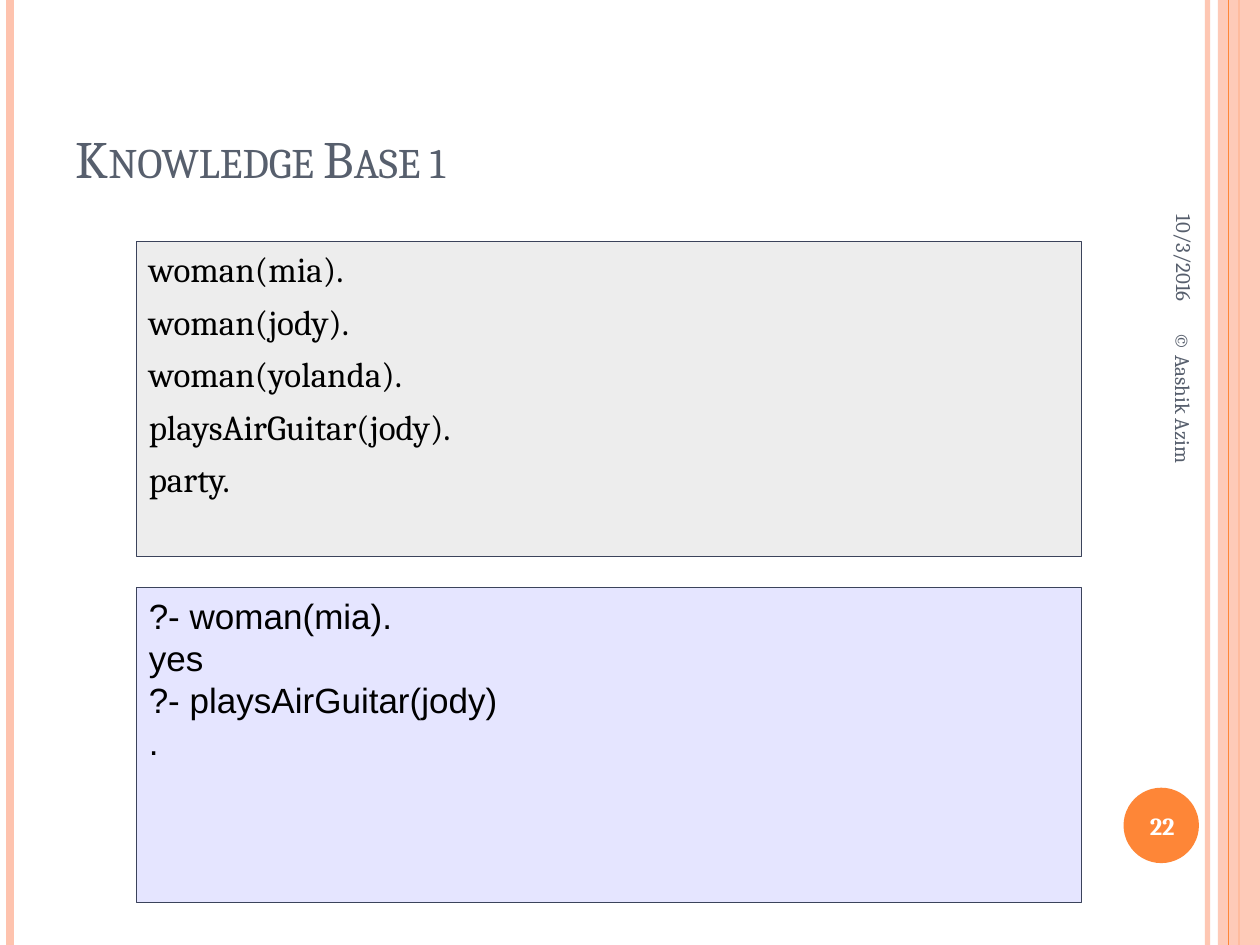
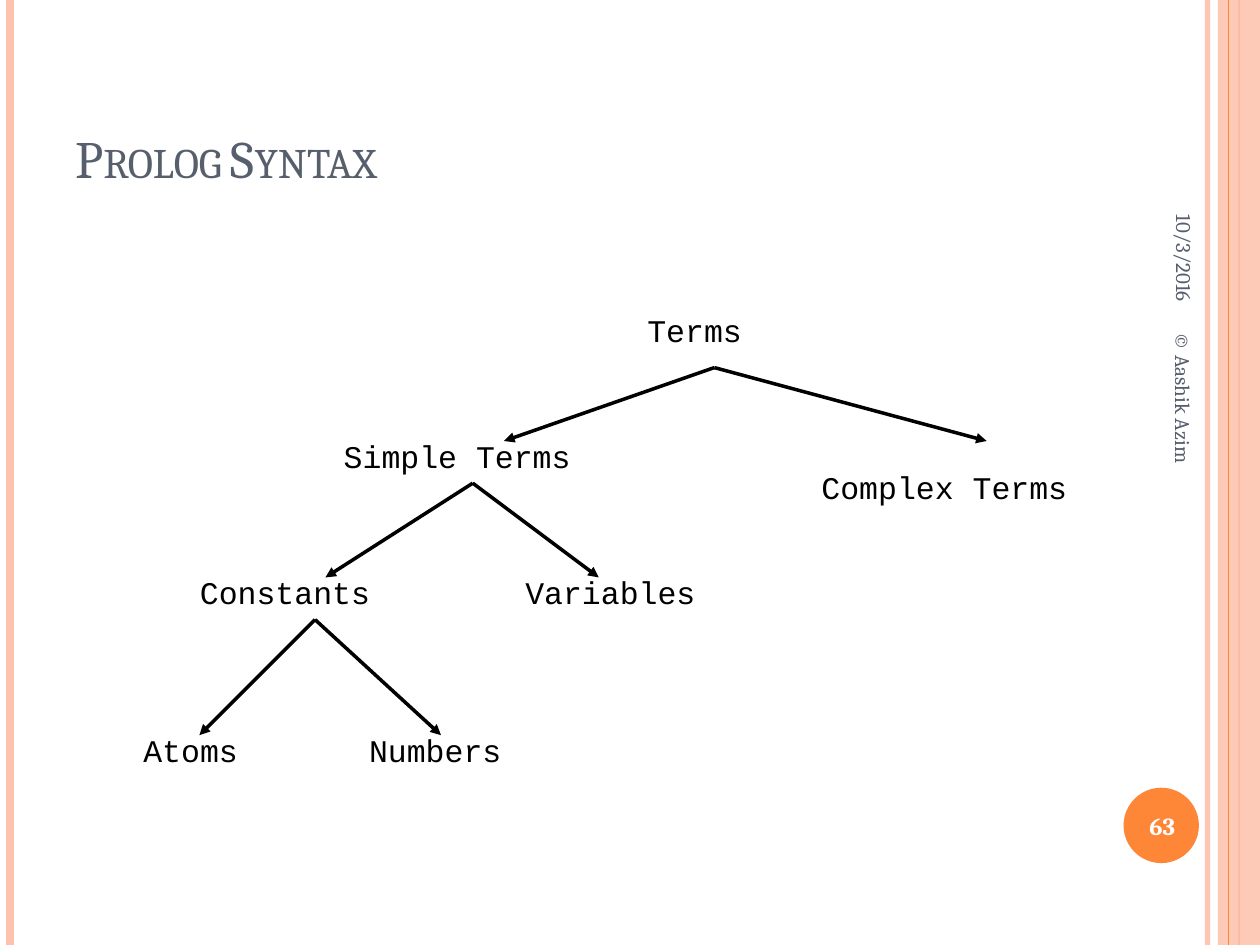
from lxml.etree import SubElement
from pptx import Presentation
from pptx.dml.color import RGBColor
from pptx.enum.shapes import MSO_CONNECTOR, MSO_SHAPE
from pptx.enum.text import MSO_ANCHOR, PP_ALIGN
from pptx.oxml.ns import qn
from pptx.util import Cm, Pt

COLOURS = {
    "peach": "FEC3AE",
    "orange": "FE8637",
    "slate": "575F6D",
    "outline": "3B435B",
    "facts": "DDDDDD",
    "queries": "CCCCFF",
    "black": "000000",
    "white": "FFFFFF",
}
SLIDE_WIDTH, SLIDE_HEIGHT = 25.4, 19.05
SERIF, SANS, MONO = "Cambria", "Arial", "Courier New"

FACTS = [
    "woman(mia).",
    "woman(jody).",
    "woman(yolanda).",
    "playsAirGuitar(jody).",
    "party.",
]
QUERIES = ["?- woman(mia).", "yes", "?- playsAirGuitar(jody)", "."]

TERM_LABELS = [
    ("Terms", 12.8, 6.15, 3.07),
    ("Simple Terms", 6.68, 8.69, 6.65),
    ("Complex Terms", 16.31, 9.32, 7.16),
    ("Constants", 3.78, 11.43, 5.11),
    ("Variables", 10.34, 11.43, 5.11),
    ("Atoms", 2.64, 14.61, 3.07),
    ("Numbers", 7.19, 14.61, 4.09),
]
TERM_BRANCHES = [
    ((14.4, 7.41), [(10.16, 8.89), (19.89, 8.89)]),
    ((9.53, 9.74), [(6.56, 11.64), (12.07, 11.64)]),
    ((6.35, 12.49), [(4.02, 14.82), (8.89, 14.82)]),
]


def colour(name):
    """Return the named colour."""
    return RGBColor.from_string(COLOURS[name])


def set_opacity(element, percent):
    """Set the opacity of the first solid colour inside an element."""
    solid = next(element.iter(qn("a:srgbClr")))
    SubElement(solid, qn("a:alpha")).set("val", str(percent * 1000))


def write_text(shape, lines, size, font=SERIF, color="black", bold=False,
               small_caps=False, align=PP_ALIGN.LEFT, anchor=MSO_ANCHOR.TOP,
               hanging=0, space_before=0, line_height=None):
    """Fill a shape with one formatted paragraph per line."""
    frame = shape.text_frame
    frame.word_wrap = True
    frame.vertical_anchor = anchor
    for index, line in enumerate(lines):
        paragraph = frame.paragraphs[0] if index == 0 else frame.add_paragraph()
        paragraph.alignment = align
        paragraph.space_before = Pt(space_before)
        if line_height:
            paragraph.line_spacing = Pt(line_height)
        if hanging:
            properties = paragraph._p.get_or_add_pPr()
            properties.set("marL", str(Cm(hanging)))
            properties.set("indent", str(-Cm(hanging)))
        run = paragraph.add_run()
        run.text = line
        run.font.name = font
        run.font.size = Pt(size)
        run.font.bold = bold
        run.font.color.rgb = colour(color)
        if small_caps:
            run._r.get_or_add_rPr().set("cap", "small")


def add_text(slide, text, left, top, width, height, rotation=0, **text_format):
    """Add a text box holding one paragraph."""
    shape = slide.shapes.add_textbox(Cm(left), Cm(top), Cm(width), Cm(height))
    shape.rotation = rotation
    write_text(shape, [text], **text_format)


def add_block(slide, kind, left, top, width, height, fill, opacity=100, outline=None):
    """Add a filled preset shape and return it."""
    shape = slide.shapes.add_shape(kind, Cm(left), Cm(top), Cm(width), Cm(height))
    shape.shadow.inherit = False
    shape.fill.solid()
    shape.fill.fore_color.rgb = colour(fill)
    if opacity < 100:
        set_opacity(shape._element.spPr, opacity)
    if outline:
        shape.line.color.rgb = colour(outline)
        shape.line.width = Pt(0.75)
    else:
        shape.line.fill.background()
    return shape


def add_line(slide, start, end, color, width, opacity=100, arrow=False):
    """Add a straight line, with an arrowhead at its end if asked."""
    connector = slide.shapes.add_connector(
        MSO_CONNECTOR.STRAIGHT, *(Cm(value) for value in (*start, *end)))
    connector.line.color.rgb = colour(color)
    connector.line.width = Pt(width)
    properties = connector._element.spPr
    if opacity < 100:
        set_opacity(properties, opacity)
    if arrow:
        SubElement(properties.find(qn("a:ln")), qn("a:tailEnd")).set("type", "triangle")
    SubElement(properties, qn("a:effectLst"))


def add_stripe(slide, x, color, width, opacity=100):
    """Add a vertical line over the full slide height."""
    add_line(slide, (x, 0), (x, SLIDE_HEIGHT), color, width, opacity)


def add_framed_slide(presentation, title, number):
    """Add a slide with stripes, title, date, credit and number."""
    slide = presentation.slides.add_slide(presentation.slide_layouts[6])
    add_stripe(slide, 24.34, "peach", 3, opacity=93)
    add_stripe(slide, 0.21, "peach", 4.5)
    add_stripe(slide, 24.98, "orange", 1.5)
    add_block(slide, MSO_SHAPE.RECTANGLE, 24.55, 0, 0.85, SLIDE_HEIGHT, "peach", opacity=87)
    add_stripe(slide, 24.77, "orange", 0.75)
    add_block(slide, MSO_SHAPE.OVAL, 22.65, 15.88, 1.52, 1.52, "orange")
    add_text(slide, title, 1.27, 0.76, 20.75, 3.18, size=30, color="slate",
             small_caps=True, anchor=MSO_ANCHOR.BOTTOM)
    margin_format = {"rotation": 90, "size": 12, "color": "slate",
                     "anchor": MSO_ANCHOR.MIDDLE}
    add_text(slide, "10/3/2016", 21.08, 3, 5.59, 1.07, align=PP_ALIGN.RIGHT,
             **margin_format)
    add_text(slide, "© Aashik Azim", 19.41, 10.39, 8.89, 1.02, **margin_format)
    add_text(slide, str(number), 22.58, 15.93, 1.7, 1.45, size=14, color="white",
             bold=True, align=PP_ALIGN.CENTER, anchor=MSO_ANCHOR.MIDDLE)
    return slide


def add_code_panel(slide, lines, top, fill, **text_format):
    """Add a translucent outlined panel with lines of code."""
    panel = add_block(slide, MSO_SHAPE.RECTANGLE, 2.75, top, 19.05, 6.35, fill,
                      opacity=50, outline="outline")
    write_text(panel, lines, size=20, **text_format)


def add_term_tree(slide):
    """Add the tree of Prolog terms."""
    for label, left, top, width in TERM_LABELS:
        add_text(slide, label, left, top, width, 1.27, size=18, font=MONO)
    for parent, children in TERM_BRANCHES:
        for child in children:
            add_line(slide, parent, child, "black", 2, arrow=True)


def main():
    """Build and save the presentation."""
    presentation = Presentation()
    presentation.slide_width = Cm(SLIDE_WIDTH)
    presentation.slide_height = Cm(SLIDE_HEIGHT)

    knowledge_slide = add_framed_slide(presentation, "Knowledge Base 1", 22)
    add_code_panel(knowledge_slide, FACTS, 4.87, "facts", hanging=0.76, space_before=6)
    add_code_panel(knowledge_slide, QUERIES, 11.85, "queries", font=SANS,
                   hanging=0.95, line_height=24)

    syntax_slide = add_framed_slide(presentation, "Prolog Syntax", 63)
    add_term_tree(syntax_slide)

    presentation.save("out.pptx")


if __name__ == "__main__":
    main()
